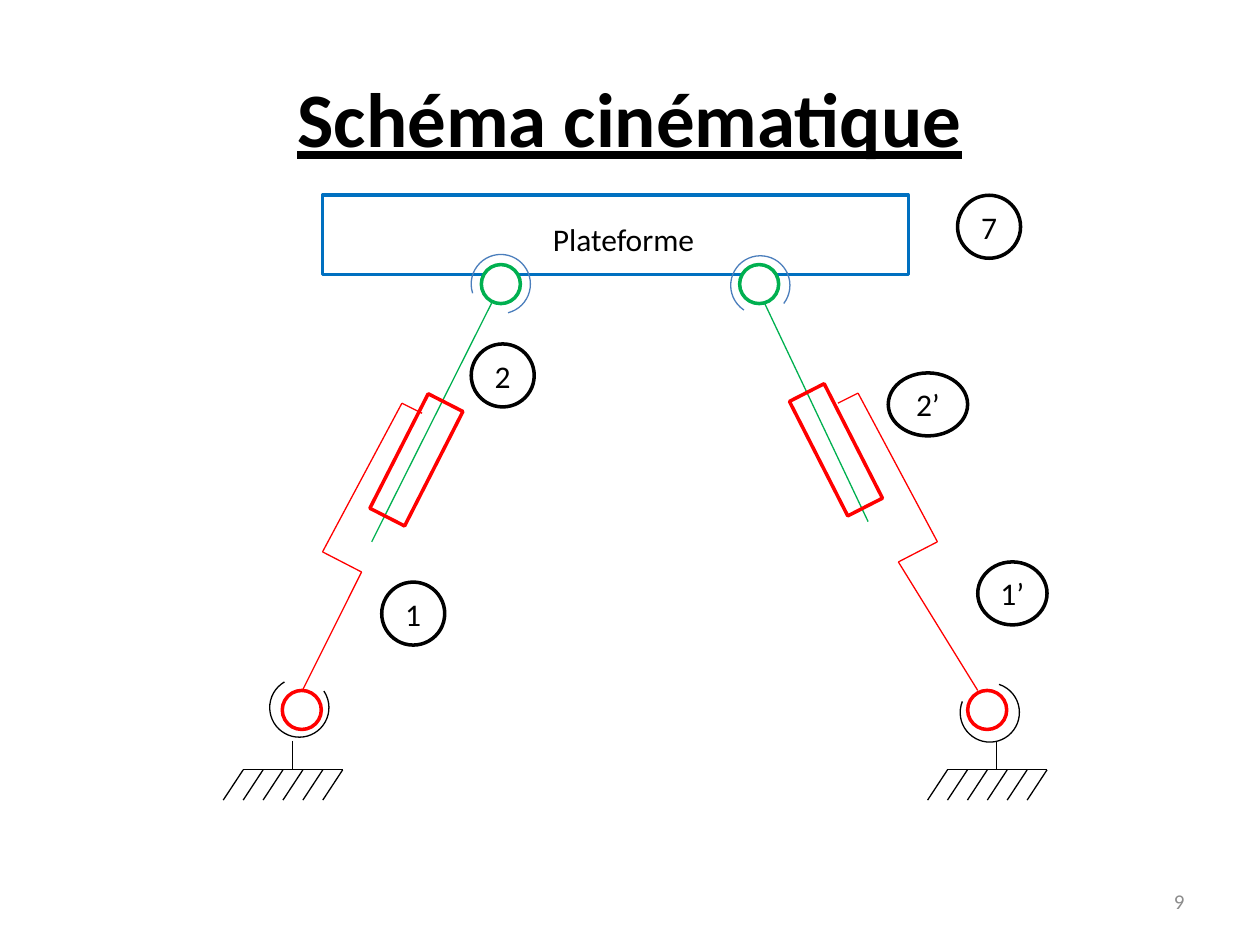
from itertools import pairwise

from lxml import etree
from pptx import Presentation
from pptx.dml.color import RGBColor
from pptx.enum.shapes import MSO_CONNECTOR, MSO_SHAPE
from pptx.enum.text import MSO_ANCHOR, PP_ALIGN
from pptx.oxml.ns import qn
from pptx.util import Inches, Pt

LEFT, CENTER, RIGHT = PP_ALIGN.LEFT, PP_ALIGN.CENTER, PP_ALIGN.RIGHT
TOP, MIDDLE = MSO_ANCHOR.TOP, MSO_ANCHOR.MIDDLE
RECTANGLE, ARC = MSO_SHAPE.RECTANGLE, MSO_SHAPE.ARC
CIRCLE = MSO_SHAPE.FLOWCHART_CONNECTOR
STRAIGHT = MSO_CONNECTOR.STRAIGHT

BLACK, WHITE, GREY = "000000", "FFFFFF", "8C8C8C"
RED, GREEN, BLUE, ARC_BLUE = "FF0000", "00B050", "0070C0", "4B7EBC"
THICK, THIN = 2, 0.75
JOINT_SIZE, ARC_SIZE = 0.31, 0.47
ARC_ADJUSTMENTS = (97.123, 45.462)

# Content: positions in inches
PLATFORM = (2.56, 1.55, 4.65, 0.63)
RODS = [[(3.94, 2.33), (2.95, 4.3)], [(6.07, 2.41), (6.89, 4.14)]]
LEGS = [
    [(2.4, 5.48), (2.87, 4.54), (2.56, 4.38), (3.19, 3.2), (3.35, 3.28)],
    [(7.76, 5.48), (7.13, 4.46), (7.44, 4.3), (6.81, 3.12), (6.65, 3.2)],
]
CYLINDERS = [((3.15, 3.14, 0.31, 1.02), 27), ((6.48, 3.06, 0.31, 1.02), 333)]
# Joints: left, top, line colour, fill colour
JOINTS = [
    (3.82, 2.1, GREEN, WHITE),
    (5.87, 2.1, GREEN, WHITE),
    (2.24, 5.48, RED, None),
    (7.68, 5.48, RED, None),
]
# Sockets around the joints: left, top, rotation, line colour
SOCKETS = [
    (3.74, 2.02, 0, ARC_BLUE),
    (5.8, 2.03, 321.8, ARC_BLUE),
    (7.62, 5.42, 126.3, BLACK),
    (2.14, 5.38, 164.1, BLACK),
]
# Ground supports: left end of the bar
GROUNDS = [1.93, 7.52]
GROUND_TOP, HATCH_COUNT, HATCH_STEP, HATCH_HEIGHT = 6.11, 6, 0.158, 0.24
POST_OFFSET, POST_HEIGHT = 0.39, 0.23
# Part numbers: text, left, top, width
PART_NUMBERS = [
    ("2’", 7.05, 2.96, 0.63),
    ("1’", 7.76, 4.46, 0.55),
    ("2", 3.74, 2.73, 0.5),
    ("1", 3.03, 4.62, 0.5),
    ("7", 7.6, 1.55, 0.5),
]
NUMBER_HEIGHT = 0.5

presentation = Presentation()
presentation.slide_width, presentation.slide_height = Inches(10), Inches(7.5)
slide = presentation.slides.add_slide(presentation.slide_layouts[6])


def color(value):
    return RGBColor.from_string(value)


def add_outline(kind, box, line, width=THICK, fill=None, rotation=0):
    shape = slide.shapes.add_shape(kind, *map(Inches, box))
    shape.shadow.inherit = False
    shape.rotation = rotation
    shape.line.color.rgb = color(line)
    shape.line.width = Pt(width)
    if fill:
        shape.fill.solid()
        shape.fill.fore_color.rgb = color(fill)
    else:
        shape.fill.background()
    return shape


def add_path(points, line):
    for start, end in pairwise(points):
        connector = slide.shapes.add_connector(
            STRAIGHT, *map(Inches, (*start, *end)))
        connector.line.color.rgb = color(line)
        connector.line.width = Pt(THIN)
        etree.SubElement(connector._element.spPr, qn("a:effectLst"))


def write(shape, text, size=18, align=CENTER, anchor=MIDDLE, fill=BLACK,
          wrap=True, heading=False):
    frame = shape.text_frame
    frame.word_wrap = wrap
    frame.vertical_anchor = anchor
    paragraph = frame.paragraphs[0]
    paragraph.alignment = align
    run = paragraph.add_run()
    run.text = text
    run.font.name = "Calibri"
    run.font.size = Pt(size)
    run.font.color.rgb = color(fill)
    run.font.bold = run.font.underline = heading


def add_text(box, text, **style):
    write(slide.shapes.add_textbox(*map(Inches, box)), text, **style)


# Platform and title
add_outline(RECTANGLE, PLATFORM, BLUE)
add_text((0.5, 0.3, 9, 1.25), "Schéma cinématique", size=44, heading=True)

# Rods, legs and cylinders
for rod in RODS:
    add_path(rod, GREEN)
for leg in LEGS:
    add_path(leg, RED)
for box, rotation in CYLINDERS:
    add_outline(RECTANGLE, box, RED, rotation=rotation)

# Ball joints and their sockets
for left, top, line, fill in JOINTS:
    add_outline(CIRCLE, (left, top, JOINT_SIZE, JOINT_SIZE), line, fill=fill)
for left, top, rotation, line in SOCKETS:
    socket = add_outline(ARC, (left, top, ARC_SIZE, ARC_SIZE), line, THIN,
                         rotation=rotation)
    for index, value in enumerate(ARC_ADJUSTMENTS):
        socket.adjustments[index] = value

add_text((4.29, 1.7, 1.33, 0.4), "Plateforme", align=LEFT, anchor=TOP,
         wrap=False)

# Hatched ground supports
for left in GROUNDS:
    post = left + POST_OFFSET
    right = left + (HATCH_COUNT - 1) * HATCH_STEP
    add_path([(post, GROUND_TOP - POST_HEIGHT), (post, GROUND_TOP)], BLACK)
    add_path([(left, GROUND_TOP), (right, GROUND_TOP)], BLACK)
    for index in range(HATCH_COUNT):
        x = left + index * HATCH_STEP
        add_path([(x, GROUND_TOP),
                  (x - HATCH_STEP, GROUND_TOP + HATCH_HEIGHT)], BLACK)

# Part numbers and slide number
for text, left, top, width in PART_NUMBERS:
    write(add_outline(CIRCLE, (left, top, width, NUMBER_HEIGHT), BLACK), text)
add_text((7.17, 6.95, 2.33, 0.4), "9", size=12, align=RIGHT, fill=GREY)

presentation.save("out.pptx")
